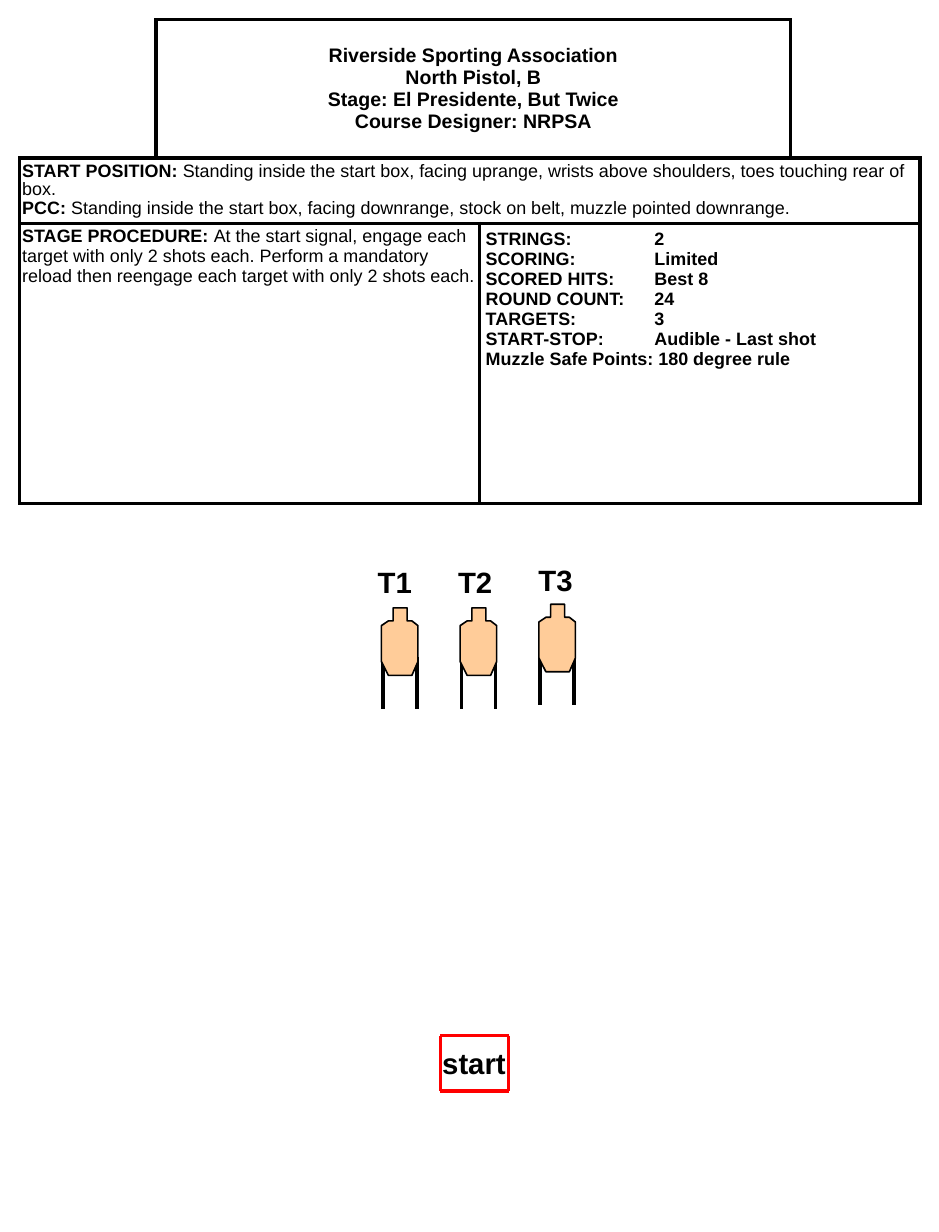
from lxml.etree import SubElement
from pptx import Presentation
from pptx.dml.color import RGBColor
from pptx.enum.shapes import MSO_CONNECTOR
from pptx.enum.text import MSO_ANCHOR, PP_ALIGN
from pptx.oxml.ns import qn
from pptx.util import Pt

BLACK, WHITE, RED, TAN = "000000", "FFFFFF", "FF0000", "FFCC99"
MARGINS = ("margin_left", "margin_top", "margin_right", "margin_bottom")
HEADER = [
    "Riverside Sporting Association",
    "North Pistol, B",
    "Stage: El Presidente, But Twice",
    "Course Designer: NRPSA",
]
START = [
    [("START POSITION: ", True),
     ("Standing inside the start box, facing uprange, wrists above shoulders, "
      "toes touching rear of box.", False)],
    [("PCC: ", True),
     ("Standing inside the start box, facing downrange, stock on belt, "
      "muzzle pointed downrange.", False)],
]
PROCEDURE = [
    [("STAGE PROCEDURE: ", True),
     ("At the start signal, engage each target with only 2 shots each. "
      "Perform a mandatory reload then reengage each target with only 2 shots each.", False)],
]
SCORING = [
    "STRINGS:\t2",
    "SCORING:\tLimited",
    "SCORED HITS:\tBest 8",
    "ROUND COUNT:\t24",
    "TARGETS:\t3",
    "START-STOP:\tAudible - Last shot",
    "Muzzle Safe Points: 180 degree rule",
]
TARGET_OUTLINE = [
    (7.2, 0), (15.8, 0), (15.8, 8), (18.7, 8), (22.4, 10.9), (22.4, 33),
    (18.7, 41.4), (4.3, 41.4), (0, 33), (0, 10.9), (4.3, 8), (7.2, 8),
]


def color(value):
    return RGBColor.from_string(value)


class StageSheet:
    """Holds the text style and the current slide of a stage briefing."""

    def __init__(self, page, font="Arial"):
        self.page = page
        self.font = font

    def span(self, para, text, size, bold=True):
        span = para.add_run()
        span.text = text
        for name, value in {"name": self.font, "size": Pt(size), "bold": bold}.items():
            setattr(span.font, name, value)
        span.font.color.rgb = color(BLACK)

    def paragraphs(self, frame, rows, size, **formats):
        for index, row in enumerate(rows):
            para = frame.paragraphs[0] if index == 0 else frame.add_paragraph()
            for name, value in formats.items():
                if index or name != "space_before":
                    setattr(para, name, value)
            for text, bold in row:
                self.span(para, text, size, bold)
        return frame.paragraphs

    def label(self, text, left, top, width, height=28.8):
        box = self.page.shapes.add_textbox(Pt(left), Pt(top), Pt(width), Pt(height))
        box.text_frame.word_wrap = True
        self.span(box.text_frame.paragraphs[0], text, 18)

    def line(self, x1, y1, x2, y2, ink, weight):
        line = self.page.shapes.add_connector(
            MSO_CONNECTOR.STRAIGHT, Pt(x1), Pt(y1), Pt(x2), Pt(y2))
        line.line.color.rgb = color(ink)
        line.line.width = Pt(weight)
        SubElement(line.element.spPr, qn("a:effectLst"))

    def target(self, left, top):
        for post in (0.8, 21.6):
            self.line(left + post, top + 30.2, left + post, top + 61.9, BLACK, 2.25)
        points = [(Pt(left + x), Pt(top + y)) for x, y in TARGET_OUTLINE]
        builder = self.page.shapes.build_freeform(*points[0])
        builder.add_line_segments(points[1:], close=True)
        shape = builder.convert_to_shape()
        shape.shadow.inherit = False
        shape.fill.solid()
        shape.fill.fore_color.rgb = color(TAN)
        shape.line.color.rgb = color(BLACK)
        shape.line.width = Pt(1)

    def borders(self, cell, sides):
        properties = cell._tc.get_or_add_tcPr()
        for side in sides:
            edge = SubElement(properties, qn(f"a:ln{side}"), w=str(Pt(2.25)))
            fill = SubElement(edge, qn("a:solidFill"))
            SubElement(fill, qn("a:srgbClr"), val=BLACK)

    def table(self, left, top, widths, heights):
        frame = self.page.shapes.add_table(
            len(heights), len(widths), Pt(left), Pt(top), Pt(sum(widths)), Pt(sum(heights)))
        table = frame.table
        table.first_row = table.horz_banding = False
        for column, width in zip(table.columns, widths):
            column.width = Pt(width)
        for row, height in zip(table.rows, heights):
            row.height = Pt(height)
        corners = {(0, 0): "RB", (0, len(widths) - 1): "LB"}
        for r in range(len(heights)):
            for c in range(len(widths)):
                cell = table.cell(r, c)
                self.borders(cell, corners.get((r, c), "LRTB"))
                cell.fill.solid()
                cell.fill.fore_color.rgb = color(WHITE)
        return table

    def merge(self, table, first, last, margins):
        cell = table.cell(*first)
        cell.merge(table.cell(*last))
        for name, value in zip(MARGINS, margins):
            setattr(cell, name, Pt(value))
        return cell


def briefing(sheet):
    table = sheet.table(12.2, 12, [83.5, 198.7, 190.8, 79.2], [85, 40, 172])

    header = sheet.merge(table, (0, 1), (0, 2), [3.6] * 4)
    header.vertical_anchor = MSO_ANCHOR.MIDDLE
    para = header.text_frame.paragraphs[0]
    para.alignment = PP_ALIGN.CENTER
    for index, text in enumerate(HEADER):
        if index:
            para.add_line_break()
        sheet.span(para, text, 12)

    start = sheet.merge(table, (1, 0), (1, 3), [1.4, 2.9, 1.4, 2.9])
    sheet.paragraphs(start.text_frame, START, 11, line_spacing=0.9, space_before=Pt(1.1))

    procedure = sheet.merge(table, (2, 0), (2, 1), [1.4, 2.2, 1.4, 2.2])
    sheet.paragraphs(procedure.text_frame, PROCEDURE, 11)

    scoring = sheet.merge(table, (2, 2), (2, 3), [3.6] * 4)
    rows = [[(text, True)] for text in SCORING]
    for para in sheet.paragraphs(scoring.text_frame, rows, 11):
        tabs = SubElement(para._p.get_or_add_pPr(), qn("a:tabLst"))
        SubElement(tabs, qn("a:tab"), pos=str(Pt(103.5)), algn="l")


def main():
    deck = Presentation()
    deck.slide_width, deck.slide_height = Pt(576), Pt(756)
    sheet = StageSheet(deck.slides.add_slide(deck.slide_layouts[6]))
    briefing(sheet)

    for index, (label_top, target_top) in enumerate([(342.7, 373), (342.7, 373), (341.3, 370.8)]):
        sheet.label(f"T{index + 1}", 224.6 + 49.3 * index, label_top, 41.8)
        sheet.target(234 + 48.3 * index, target_top)

    left, top, right, bottom = 270, 635.5, 312, 669.5
    corners = [(left, top), (right, top), (right, bottom), (left, bottom)]
    for begin, end in zip(corners, corners[1:] + corners[:1]):
        sheet.line(*begin, *end, RED, 2)
    sheet.label("start", 264.2, 637.9, 61.9)

    deck.save("out.pptx")


if __name__ == "__main__":
    main()
